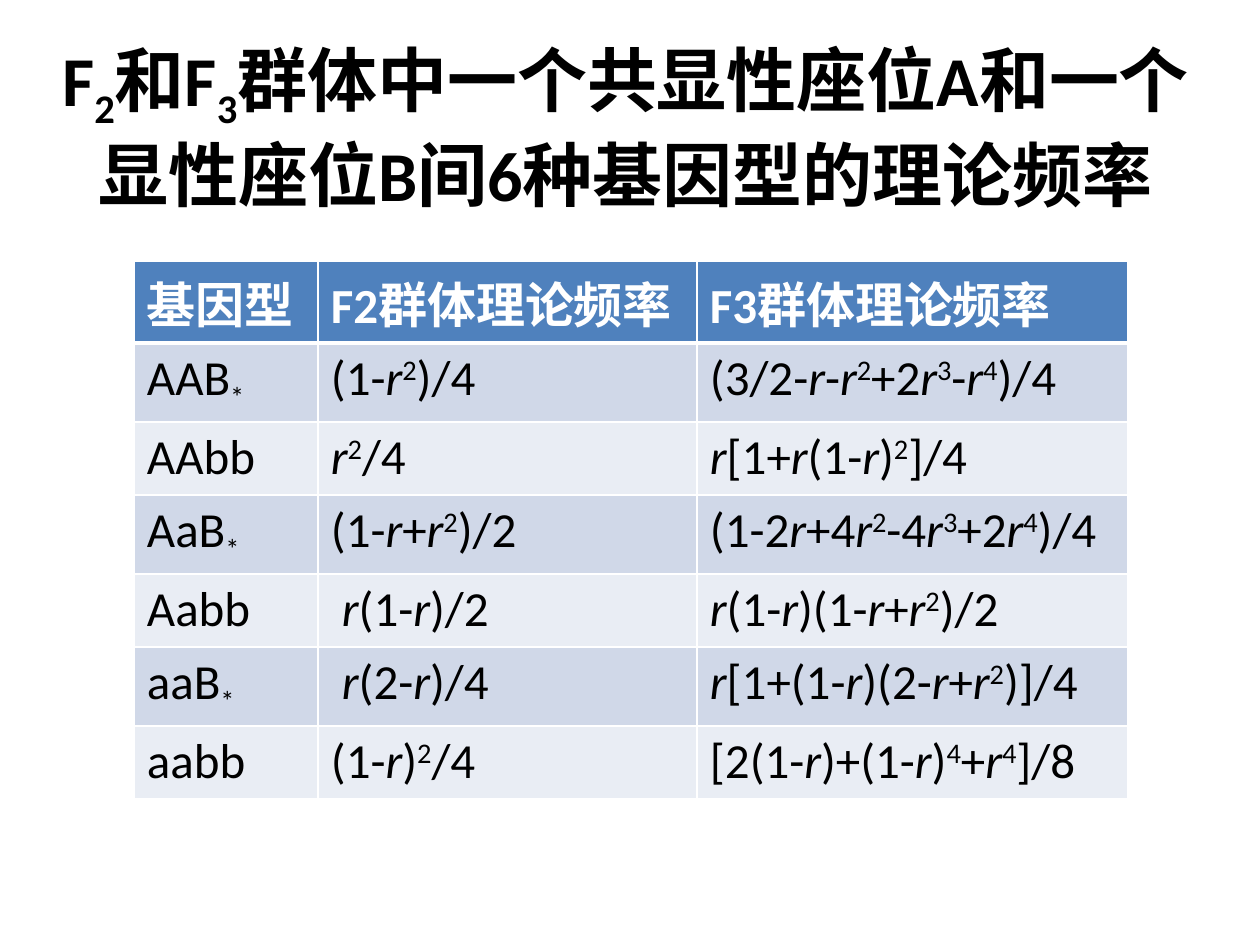
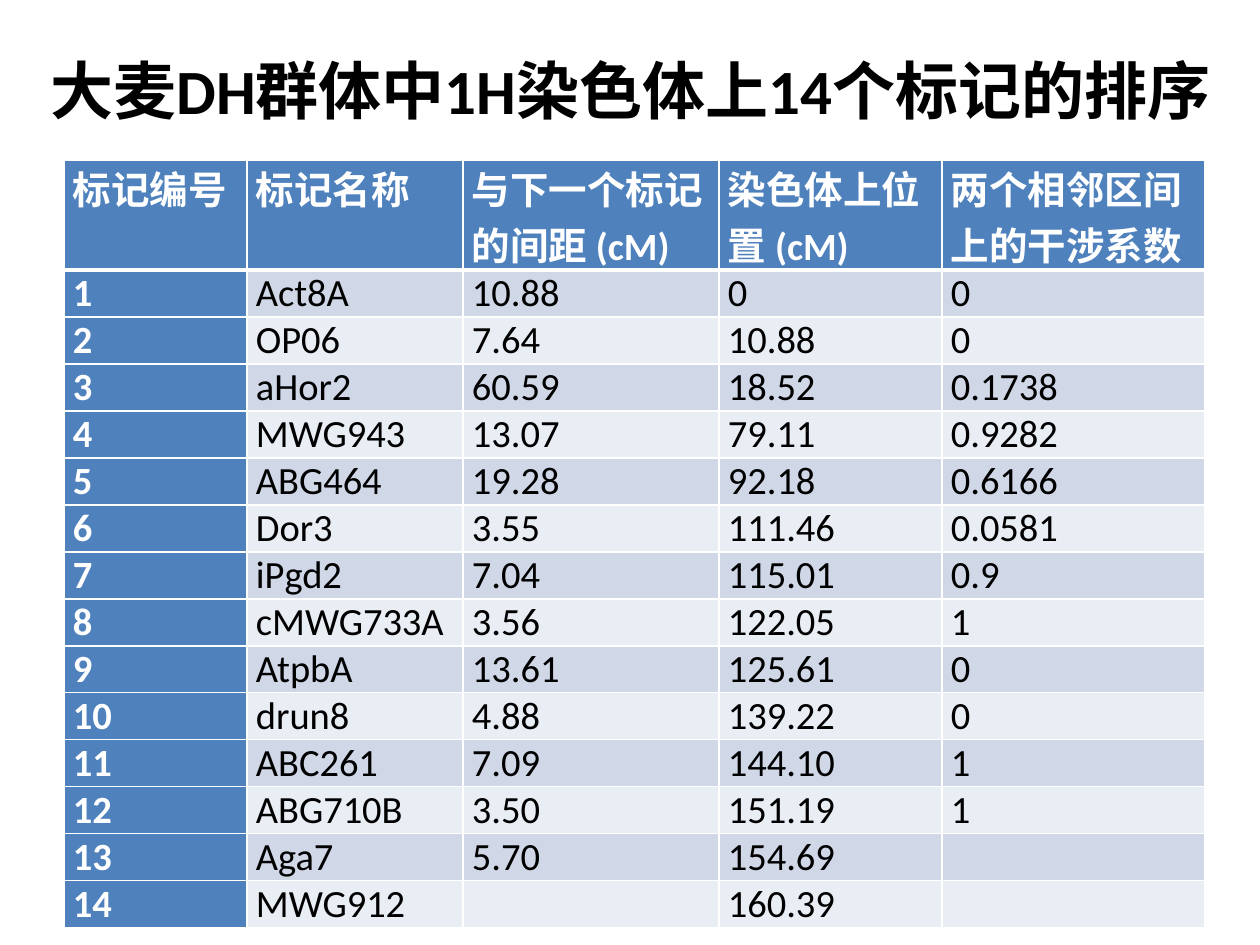
from dataclasses import dataclass
from itertools import groupby

from lxml import etree
from pptx import Presentation
from pptx.dml.color import RGBColor
from pptx.enum.text import MSO_ANCHOR, PP_ALIGN
from pptx.oxml.ns import qn
from pptx.util import Emu, Pt

MIDDLE = MSO_ANCHOR.MIDDLE
CENTER = PP_ALIGN.CENTER
EMU_PER_PX = 914400 / 126
FONT = "Calibri"
COLORS = {
    "ink": "000000",
    "paper": "FFFFFF",
    "header": "4F81BD",
    "odd": "D0D8E8",
    "even": "E9EDF4",
}
BASELINES = {"^": 30000, "_": -25000}


@dataclass(frozen=True)
class Title:
    text: str
    left: int
    top: int
    width: int
    height: int
    size: int


@dataclass(frozen=True)
class Grid:
    left: int
    top: int
    widths: list[int]
    heights: list[int]
    rows: list[list[str]]
    size: int
    margin_x: int
    margin_y: int
    variable: str = ""
    header_column: bool = False
    indented: tuple[tuple[int, int], ...] = ()
    indent: int = 0


def px(length: int) -> Emu:
    return Emu(round(length * EMU_PER_PX))


def split_spans(text: str, variable: str) -> list[tuple[str, int, bool]]:
    letters = []
    baseline = 0
    for letter in text:
        if letter in BASELINES:
            baseline = BASELINES[letter]
            continue
        letters.append((letter, baseline, letter == variable))
        baseline = 0
    return [
        ("".join(item[0] for item in group), *style)
        for style, group in groupby(letters, key=lambda item: item[1:])
    ]


def write_text(para, text: str, size: int, color: str, bold: bool, variable: str = "") -> None:
    for words, baseline, italic in split_spans(text, variable):
        span = para.add_run()
        span.text = words
        formats = {"name": FONT, "size": Pt(size), "bold": bold, "italic": italic}
        for name, value in formats.items():
            setattr(span.font, name, value)
        span.font.color.rgb = RGBColor.from_string(COLORS[color])
        if baseline:
            span.font._element.set("baseline", str(baseline))


def add_title(page, title: Title) -> None:
    box = page.shapes.add_textbox(px(title.left), px(title.top), px(title.width), px(title.height))
    frame = box.text_frame
    for name, value in {"word_wrap": True, "vertical_anchor": MIDDLE}.items():
        setattr(frame, name, value)
    para = frame.paragraphs[0]
    para.alignment = CENTER
    write_text(para, title.text, title.size, "ink", True)


def set_borders(cell, row: int) -> None:
    properties = cell._tc.get_or_add_tcPr()
    points = {"lnL": 1, "lnR": 1, "lnT": 3 if row == 1 else 1, "lnB": 3 if row == 0 else 1}
    for side, width in points.items():
        line = etree.SubElement(properties, qn(f"a:{side}"), w=str(Pt(width)))
        fill = etree.SubElement(line, qn("a:solidFill"))
        etree.SubElement(fill, qn("a:srgbClr"), val=COLORS["paper"])


def fill_cell(cell, grid: Grid, row: int, column: int) -> None:
    heading = row == 0 or (grid.header_column and column == 0)
    band = "header" if heading else "odd" if row % 2 else "even"
    shift = grid.indent if (row, column) in grid.indented else 0
    margins = {
        "margin_left": px(grid.margin_x + shift),
        "margin_right": px(grid.margin_x),
        "margin_top": px(grid.margin_y),
        "margin_bottom": px(grid.margin_y),
    }
    for name, value in margins.items():
        setattr(cell, name, value)
    set_borders(cell, row)
    cell.fill.solid()
    cell.fill.fore_color.rgb = RGBColor.from_string(COLORS[band])
    write_text(
        cell.text_frame.paragraphs[0],
        grid.rows[row][column],
        grid.size,
        "paper" if heading else "ink",
        heading,
        grid.variable,
    )


def add_grid(page, grid: Grid) -> None:
    table = page.shapes.add_table(
        len(grid.rows),
        len(grid.widths),
        px(grid.left),
        px(grid.top),
        px(sum(grid.widths)),
        px(sum(grid.heights)),
    ).table
    table.first_col = grid.header_column
    for column, width in zip(table.columns, grid.widths):
        column.width = px(width)
    for row, height in zip(table.rows, grid.heights):
        row.height = px(height)
    for row in range(len(grid.rows)):
        for column in range(len(grid.widths)):
            fill_cell(table.cell(row, column), grid, row, column)


FREQUENCY_TITLE = Title(
    "F_2和F_3群体中一个共显性座位A和一个显性座位B间6种基因型的理论频率",
    35, 38, 1181, 176, 40,
)
FREQUENCIES = Grid(
    left=134,
    top=261,
    widths=[184, 379, 431],
    heights=[82] + [79, 73] * 3,
    rows=[
        ["基因型", "F2群体理论频率", "F3群体理论频率"],
        ["AAB_*", "(1-r^2)/4", "(3/2-r-r^2+2r^3-r^4)/4"],
        ["AAbb", "r^2/4", "r[1+r(1-r)^2]/4"],
        ["AaB_*", "(1-r+r^2)/2", "(1-2r+4r^2-4r^3+2r^4)/4"],
        ["Aabb", "r(1-r)/2", "r(1-r)(1-r+r^2)/2"],
        ["aaB_*", "r(2-r)/4", "r[1+(1-r)(2-r+r^2)]/4"],
        ["aabb", "(1-r)^2/4", "[2(1-r)+(1-r)^4+r^4]/8"],
    ],
    size=28,
    margin_x=13,
    margin_y=6,
    variable="r",
    indented=((4, 1), (5, 1)),
    indent=11,
)

MARKER_TITLE = Title("大麦DH群体中1H染色体上14个标记的排序", 25, 45, 1211, 89, 36)
MARKERS = [
    ["Act8A", "10.88", "0", "0"],
    ["OP06", "7.64", "10.88", "0"],
    ["aHor2", "60.59", "18.52", "0.1738"],
    ["MWG943", "13.07", "79.11", "0.9282"],
    ["ABG464", "19.28", "92.18", "0.6166"],
    ["Dor3", "3.55", "111.46", "0.0581"],
    ["iPgd2", "7.04", "115.01", "0.9"],
    ["cMWG733A", "3.56", "122.05", "1"],
    ["AtpbA", "13.61", "125.61", "0"],
    ["drun8", "4.88", "139.22", "0"],
    ["ABC261", "7.09", "144.10", "1"],
    ["ABG710B", "3.50", "151.19", "1"],
    ["Aga7", "5.70", "154.69", ""],
    ["MWG912", "", "160.39", ""],
]
MARKER_ORDER = Grid(
    left=64,
    top=160,
    widths=[183, 216, 256, 223, 263],
    heights=[110] + [47] * len(MARKERS),
    rows=[
        ["标记编号", "标记名称", "与下一个标记的间距 (cM)", "染色体上位置 (cM)", "两个相邻区间上的干涉系数"],
        *([str(number), *marker] for number, marker in enumerate(MARKERS, 1)),
    ],
    size=22,
    margin_x=9,
    margin_y=0,
    header_column=True,
)


def main() -> None:
    deck = Presentation()
    deck.slide_width = px(1260)
    deck.slide_height = px(945)
    for title, grid in ((FREQUENCY_TITLE, FREQUENCIES), (MARKER_TITLE, MARKER_ORDER)):
        page = deck.slides.add_slide(deck.slide_layouts[6])
        add_title(page, title)
        add_grid(page, grid)
    deck.save("out.pptx")


if __name__ == "__main__":
    main()
